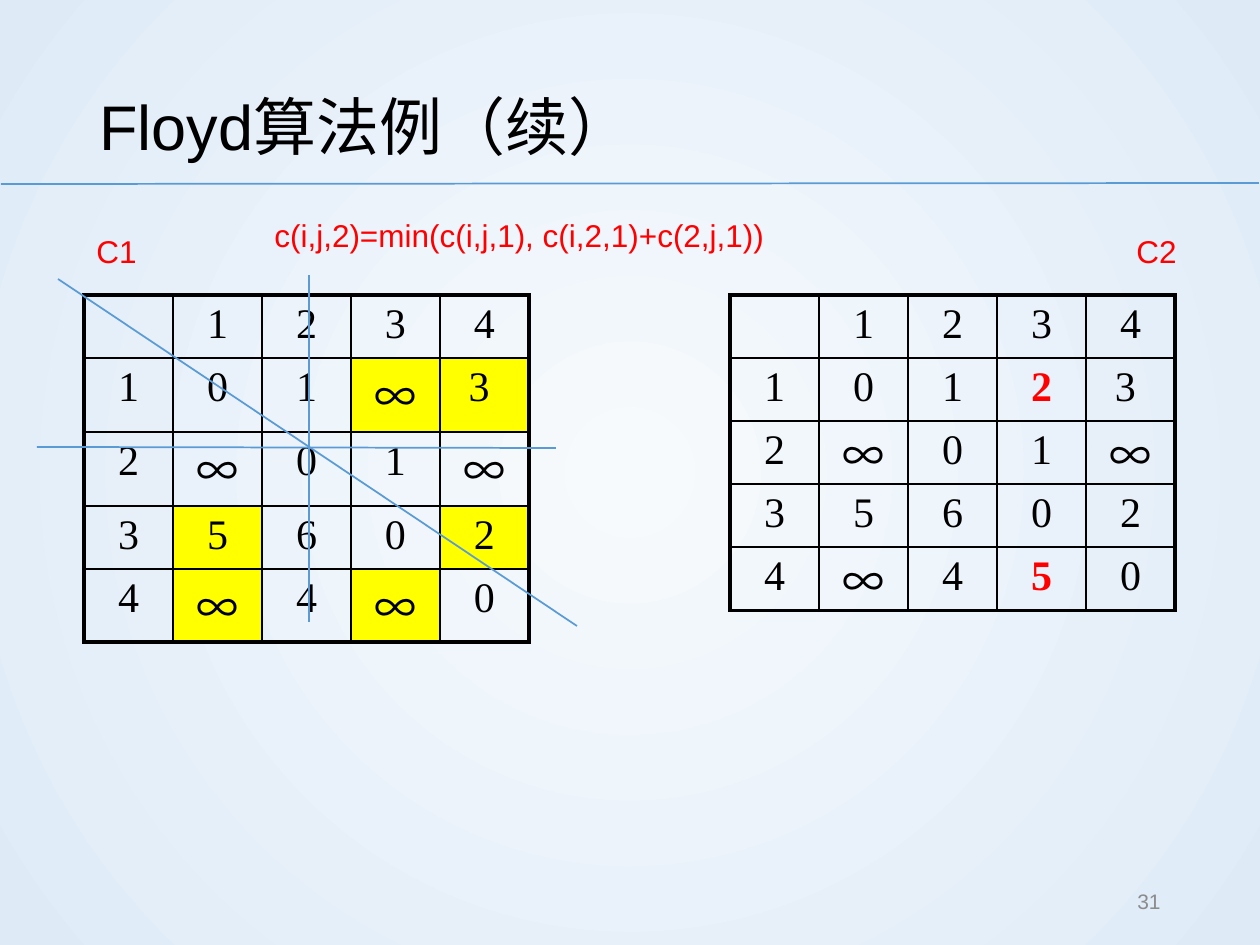
from lxml import etree
from pptx import Presentation
from pptx.dml.color import RGBColor
from pptx.enum.shapes import MSO_CONNECTOR
from pptx.enum.text import MSO_ANCHOR, PP_ALIGN
from pptx.oxml.ns import qn
from pptx.util import Emu, Pt

STRAIGHT = MSO_CONNECTOR.STRAIGHT
TOP, MIDDLE = MSO_ANCHOR.TOP, MSO_ANCHOR.MIDDLE
LEFT, CENTER, RIGHT = PP_ALIGN.LEFT, PP_ALIGN.CENTER, PP_ALIGN.RIGHT
BLACK = RGBColor(0x00, 0x00, 0x00)
RED = RGBColor(0xFF, 0x00, 0x00)
YELLOW = RGBColor(0xFF, 0xFF, 0x00)
BLUE = RGBColor(0x5B, 0x9B, 0xD5)
GRAY = RGBColor(0x8C, 0x8C, 0x8C)
CENTER_TINT = RGBColor(0xF7, 0xFA, 0xFD)
EDGE_TINT = RGBColor(0xDE, 0xEB, 0xF7)
SANS, SERIF, CJK = "Arial", "Times New Roman", "Noto Sans CJK SC"
PX = 914400 / 126

# Content: text, box (left, top, width, height), size, colour, alignment, anchor, line spacing
TEXTS = [
    ("Floyd算法例（续）", (87, 50, 1086, 136), 36, BLACK, LEFT, MIDDLE, 1.2),
    ("C1", (84, 226, 95, 50), 18, RED, LEFT, TOP, 1),
    ("c(i,j,2)=min(c(i,j,1), c(i,2,1)+c(2,j,1))", (262, 210, 955, 50), 18, RED, LEFT, TOP, 1),
    ("C2", (1124, 226, 95, 50), 18, RED, LEFT, TOP, 1),
    ("31", (890, 876, 283, 50), 12, GRAY, RIGHT, MIDDLE, 1),
]
HEADER = ["", "1", "2", "3", "4"]
MATRICES = [
    {
        "left": 84,
        "row_heights": [59, 74, 74, 59, 73],
        "infinity_margins": (6, 6),
        "filled": {(1, 3), (1, 4), (3, 1), (3, 4), (4, 1), (4, 3)},
        "changed": set(),
        "rows": [HEADER,
                 ["1", "0", "1", "∞", "3 "],
                 ["2", "∞", "0", "1", "∞"],
                 ["3", "5", "6", "0", "2"],
                 ["4", "∞", "4", "∞", "0"]],
    },
    {
        "left": 730,
        "row_heights": [63] * 5,
        "infinity_margins": (2, 0),
        "filled": set(),
        "changed": {(1, 3), (4, 3)},
        "rows": [HEADER,
                 ["1", "0", "1", "2", "3 "],
                 ["2", "∞", "0", "1", "∞"],
                 ["3", "5", "6", "0", "2"],
                 ["4", "∞", "4", "5", "0"]],
    },
]
TABLE_TOP, COLUMN_WIDTH = 295, 89
TITLE_RULE = (1, 184, 1259, 183)
STRIKE_LINES = [(37, 447, 556, 448), (309, 622, 309, 275), (58, 279, 577, 626)]


def px(value):
    return Emu(round(value * PX))


def add_run(paragraph, text, size, color, font, bold=False):
    run = paragraph.add_run()
    run.text = text
    run.font.size = Pt(size)
    run.font.name = font
    run.font.bold = bold
    run.font.color.rgb = color
    east_asian = etree.SubElement(run._r.get_or_add_rPr(), qn("a:ea"))
    east_asian.set("typeface", CJK)


def add_text(slide, text, box, size, color, alignment, anchor, spacing):
    frame = slide.shapes.add_textbox(*map(px, box)).text_frame
    frame.word_wrap = True
    frame.vertical_anchor = anchor
    paragraph = frame.paragraphs[0]
    paragraph.alignment = alignment
    paragraph.line_spacing = spacing
    add_run(paragraph, text, size, color, SANS)


def add_line(slide, ends):
    line = slide.shapes.add_connector(STRAIGHT, *map(px, ends))
    line.line.color.rgb = BLUE
    line.line.width = Pt(1)
    etree.SubElement(line._element.spPr, qn("a:effectLst"))


def set_borders(cell, outer_sides):
    properties = cell._tc.get_or_add_tcPr()
    for index, side in enumerate(("lnL", "lnR", "lnT", "lnB")):
        border = etree.Element(qn(f"a:{side}"))
        border.set("w", str(Pt(2.25 if side in outer_sides else 1)))
        fill = etree.SubElement(border, qn("a:solidFill"))
        etree.SubElement(fill, qn("a:srgbClr")).set("val", str(BLACK))
        properties.insert(index, border)


def add_matrix(slide, matrix):
    rows, heights = matrix["rows"], matrix["row_heights"]
    last = len(rows) - 1
    table = slide.shapes.add_table(
        len(rows), len(HEADER), px(matrix["left"]), px(TABLE_TOP),
        px(COLUMN_WIDTH * len(HEADER)), px(sum(heights))).table
    table.first_row = table.horz_banding = False
    for column in table.columns:
        column.width = px(COLUMN_WIDTH)
    for row, height in zip(table.rows, heights):
        row.height = px(height)
    for i, values in enumerate(rows):
        for j, value in enumerate(values):
            cell = table.cell(i, j)
            if (i, j) in matrix["filled"]:
                cell.fill.solid()
                cell.fill.fore_color.rgb = YELLOW
            else:
                cell.fill.background()
            edges = {"lnL": j == 0, "lnR": j == last, "lnT": i == 0, "lnB": i == last}
            set_borders(cell, [side for side, outer in edges.items() if outer])
            if not value:
                continue
            if value == "∞":
                cell.margin_top, cell.margin_bottom = map(px, matrix["infinity_margins"])
            changed = (i, j) in matrix["changed"]
            paragraph = cell.text_frame.paragraphs[0]
            paragraph.alignment = CENTER
            add_run(paragraph, value, 24, RED if changed else BLACK,
                    CJK if value == "∞" else SERIF, changed)


def set_background(slide):
    fill = slide.background.fill
    fill.gradient()
    for stop, color in zip(fill.gradient_stops, (CENTER_TINT, EDGE_TINT)):
        stop.color.rgb = color
    gradient = slide._element.find(".//" + qn("a:gradFill"))
    gradient.remove(gradient.find(qn("a:lin")))
    circle = etree.SubElement(gradient, qn("a:path"))
    circle.set("path", "circle")
    focus = etree.SubElement(circle, qn("a:fillToRect"))
    for side in "ltrb":
        focus.set(side, "50000")


def main():
    presentation = Presentation()
    presentation.slide_width, presentation.slide_height = px(1260), px(945)
    slide = presentation.slides.add_slide(presentation.slide_layouts[6])
    set_background(slide)
    add_line(slide, TITLE_RULE)
    for text in TEXTS:
        add_text(slide, *text)
    for matrix in MATRICES:
        add_matrix(slide, matrix)
    # Lines through the pivot row, the pivot column and the diagonal
    for ends in STRIKE_LINES:
        add_line(slide, ends)
    presentation.save("out.pptx")


if __name__ == "__main__":
    main()
